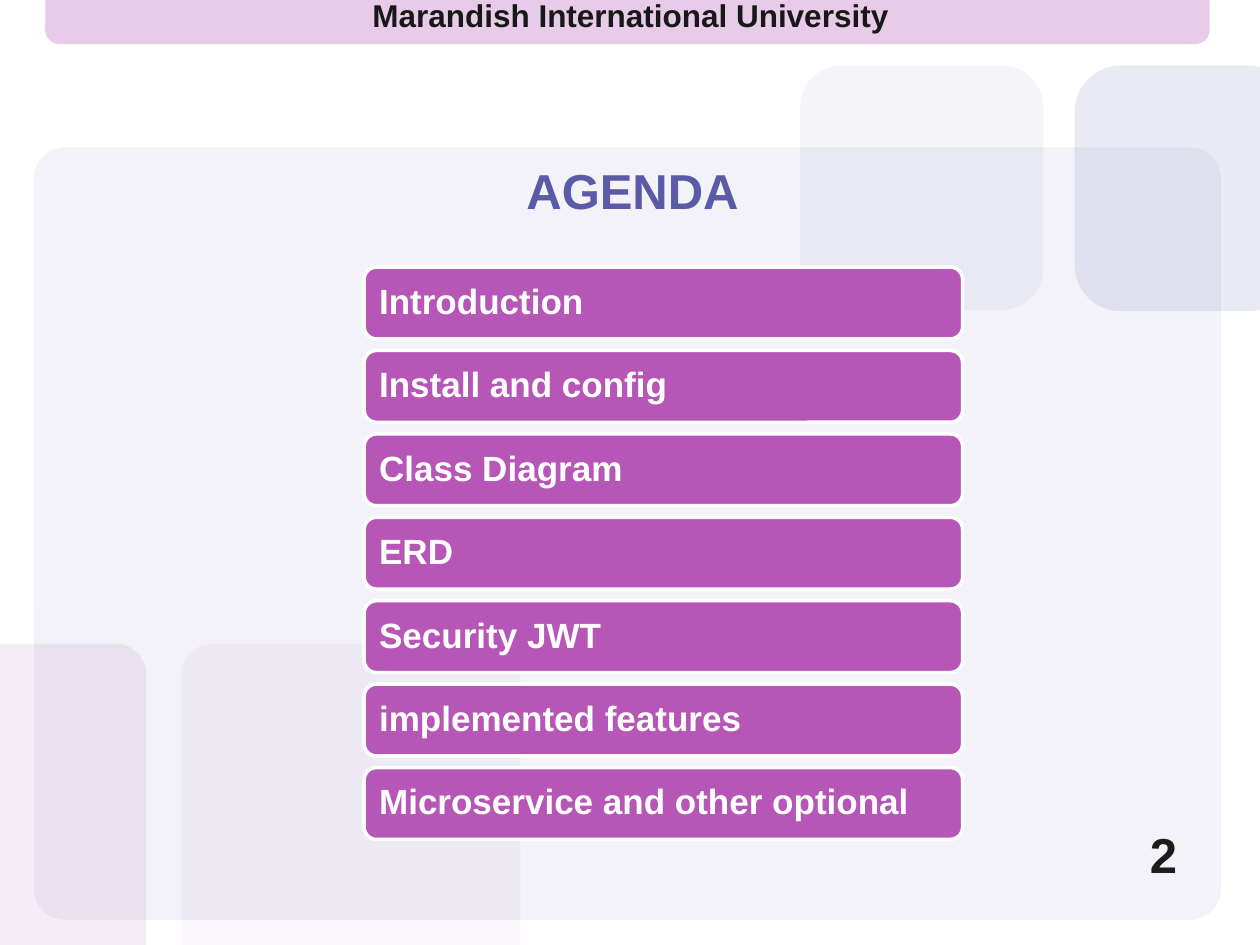
"""Build the agenda slide: tinted backdrop panels, a header band and a column of topic bars."""
from lxml.etree import SubElement
from pptx import Presentation
from pptx.dml.color import RGBColor
from pptx.enum.shapes import MSO_SHAPE as Preset
from pptx.enum.text import MSO_ANCHOR as Anchor, PP_ALIGN as Align
from pptx.oxml.ns import qn
from pptx.util import Pt

INDIGO = RGBColor(0x5A, 0x5A, 0xA6)
ORCHID = RGBColor(0xB6, 0x56, 0xB6)
WHITE = RGBColor(0xFF, 0xFF, 0xFF)
HEADER_INK = RGBColor(0x18, 0x18, 0x18)
NUMBER_INK = RGBColor(0x1C, 0x1C, 0x1C)
COLUMNS, ROWS = 100, 75

deck = Presentation()
deck.slide_width, deck.slide_height = Pt(720), Pt(540)
slide = deck.slides.add_slide(deck.slide_layouts[6])
column = deck.slide_width // COLUMNS
row = deck.slide_height // ROWS


def add_panel(left, top, width, height, corner, color):
    panel = slide.shapes.add_shape(
        Preset.ROUNDED_RECTANGLE, int(left * column), int(top * row),
        int(width * column), int(height * row))
    panel.adjustments[0] = corner
    panel.shadow.inherit = False
    panel.fill.solid()
    panel.fill.fore_color.rgb = color
    panel.line.fill.background()
    return panel


def write(text, host=None, box=None, size=20, color=WHITE, align=Align.LEFT,
          anchor=Anchor.TOP, inset=7.2, spacing=1.0, after=0):
    if host is None:
        left, top, width, height = box
        host = slide.shapes.add_textbox(
            int(left * column), int(top * row), int(width * column), int(height * row))
    frame = host.text_frame
    frame.word_wrap = True
    frame.vertical_anchor = anchor
    frame.margin_left = frame.margin_right = Pt(inset)
    paragraph = frame.paragraphs[0]
    paragraph.alignment = align
    paragraph.line_spacing = spacing
    paragraph.space_after = Pt(after)
    run = paragraph.add_run()
    run.text = text
    run.font.name, run.font.size, run.font.bold = "Arial", Pt(size), True
    run.font.color.rgb = color


backdrop = [
    (2.7, 11.7, 94.2, 61.3, 0.04, INDIGO, 8),
    (14.4, 51.1, 26.9, 27.2, 0.09, ORCHID, 5),
    (3.6, -1, 92.4, 4.5, 0.25, ORCHID, 30),
    (63.5, 5.2, 19.3, 19.4, 0.17, INDIGO, 6),
    (85.3, 5.2, 17.4, 19.5, 0.21, INDIGO, 12),
    (-6.8, 51.1, 18.4, 27.7, 0.13, ORCHID, 11),
]
for *geometry, tint, opacity in backdrop:
    panel = add_panel(*geometry, tint)
    tint_xml = panel.fill._xPr.find(qn("a:solidFill"))[0]
    SubElement(tint_xml, qn("a:alpha")).set("val", str(opacity * 1000))

write("Marandish International University", box=(0.9, -0.8, 98.3, 4), size=18,
      color=HEADER_INK, align=Align.CENTER)
write("AGENDA", box=(40.8, 5.2, 32.9, 12.7), size=28, color=INDIGO, anchor=Anchor.BOTTOM)
write("2", box=(71.1, 65.5, 23.3, 5.5), size=28, color=NUMBER_INK, align=Align.RIGHT,
      spacing=0.9, after=6)

topics = ["Introduction", "Install and config", "Class Diagram", "ERD",
          "Security JWT", "implemented features", "Microservice and other optional"]
first_top, pitch = 21.2, 6.62
for index, topic in enumerate(topics):
    bar = add_panel(28.9, first_top + index * pitch, 47.5, 5.7, 0.17, ORCHID)
    bar.line.color.rgb = WHITE
    bar.line.width = Pt(2)
    write(topic, host=bar, anchor=Anchor.MIDDLE, inset=6.5, spacing=0.9)

deck.save("out.pptx")
